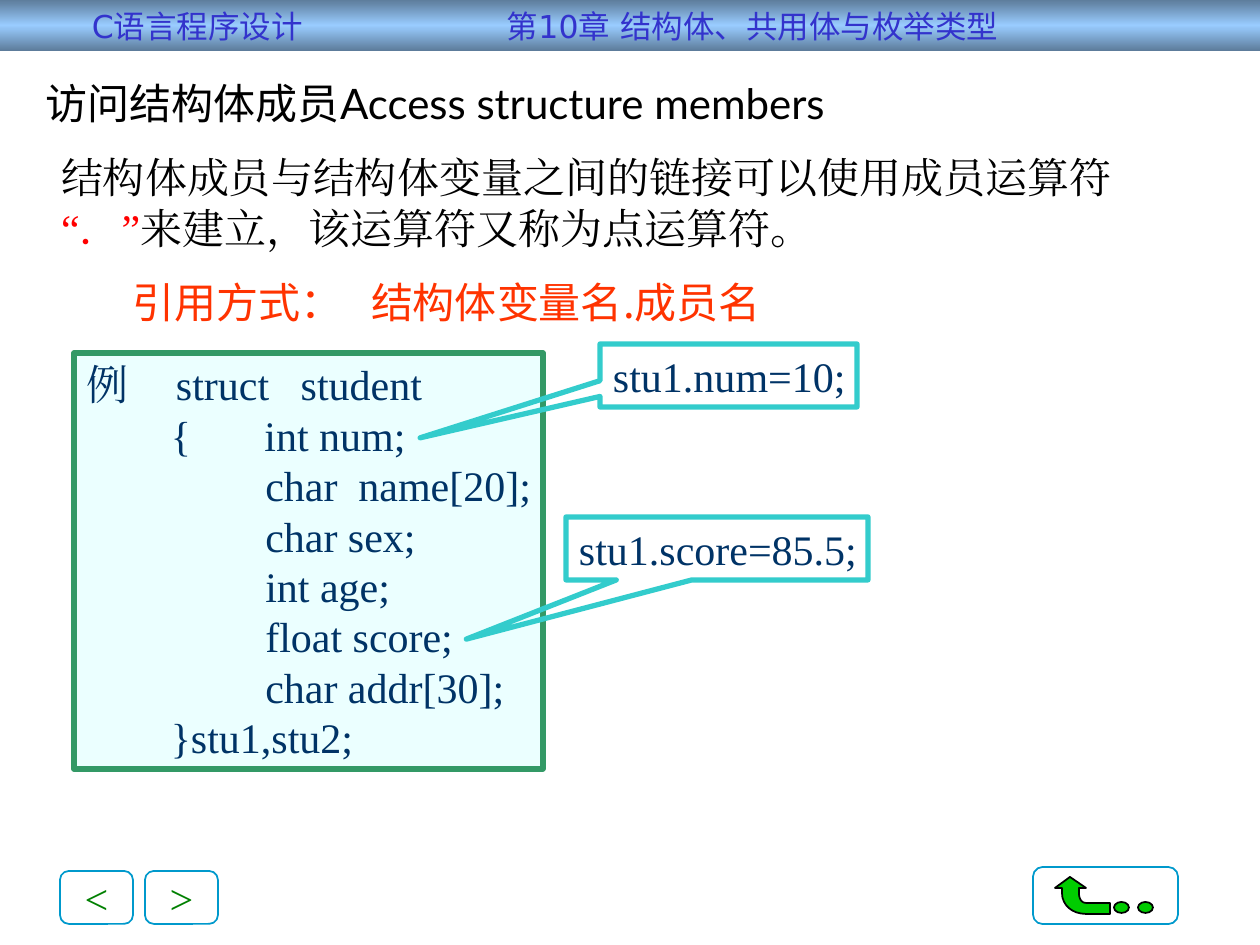
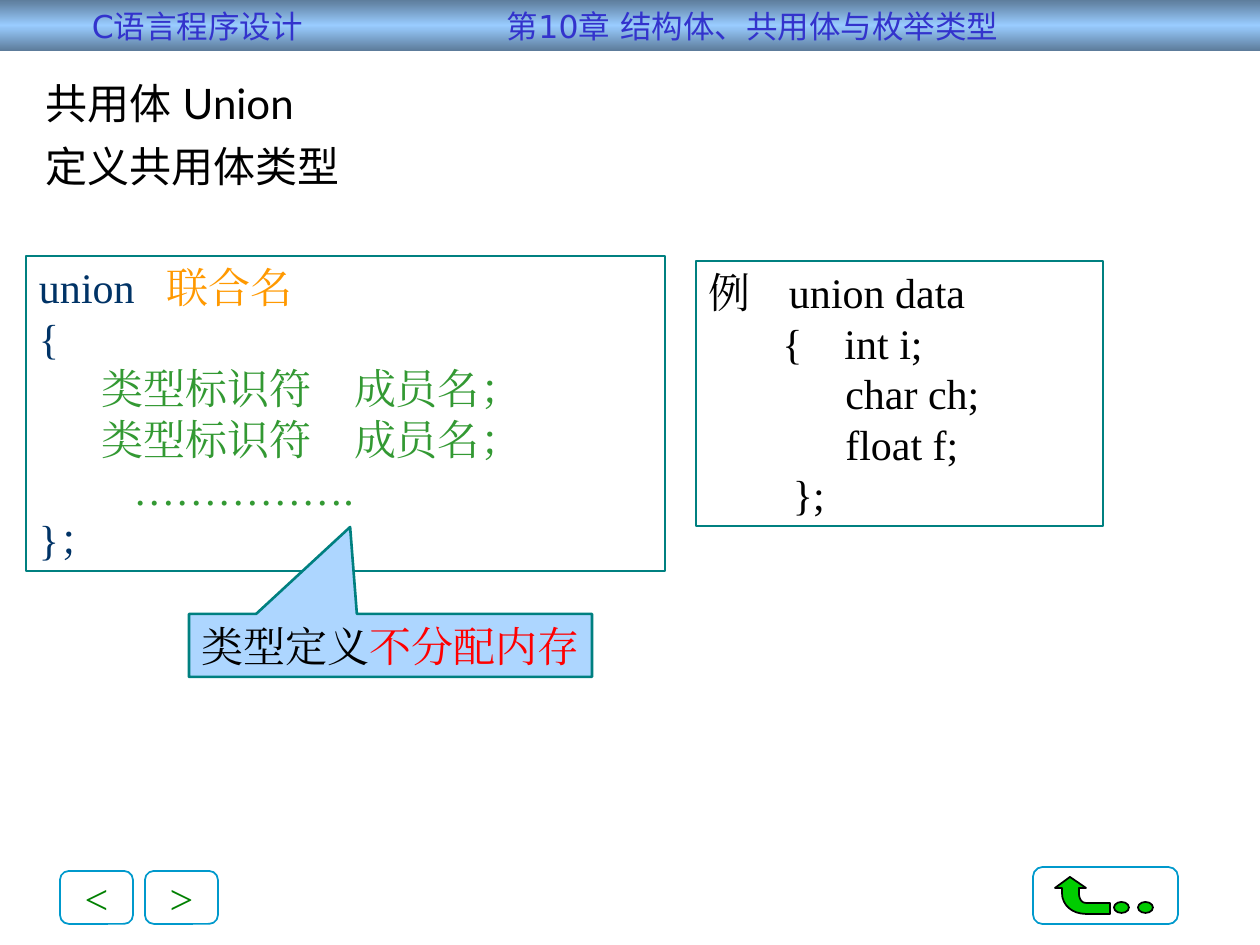
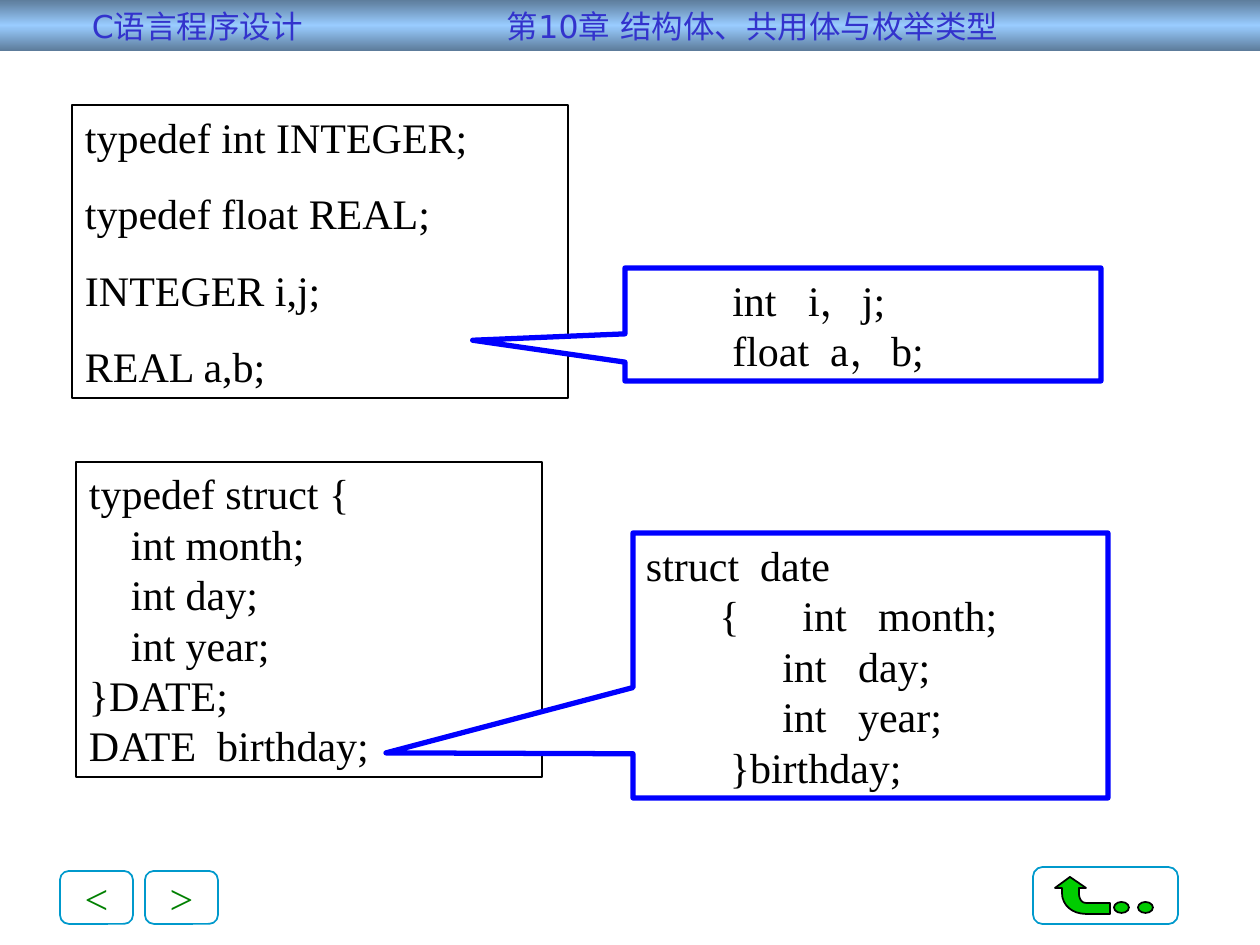
import copy

from pptx import Presentation
from pptx import util as u
from pptx.dml import color
from pptx.enum import shapes, text
from pptx.oxml import ns, xmlchemy

SCALE = 914400 / 126
KIND = shapes.MSO_SHAPE
SERIF, TITLE_FONT, CJK = "Times New Roman", "Lato", "Noto Sans CJK SC"
BLACK, WHITE, NAVY, RED = "000000", "FFFFFF", "003366", "FF0000"
TEAL, CYAN, BLUE, GREEN = "008080", "33CCCC", "0000FF", "339933"
BAND_EDGE, BAND_MIDDLE, BAND_TEXT = "5D7C9B", "99CCFF", "3333CC"
NAV_LINE, NAV_TEXT, ARROW = "0099CC", "008000", "00CC00"


def px(length):
    return u.Emu(round(length * SCALE))


def rgb(value):
    return color.RGBColor.from_string(value)


def child(parent, tag, **attributes):
    element = xmlchemy.OxmlElement(tag)
    for name, value in attributes.items():
        element.set(name, str(value))
    parent.append(element)
    return element


def write(shape, paragraphs, font=SERIF, size=24, ink=BLACK, line_height=28.8,
          gap=0, tab=None, align=text.PP_ALIGN.LEFT, anchor=text.MSO_ANCHOR.TOP,
          inset=(13, 6, 0, 6)):
    frame = shape.text_frame
    frame.word_wrap = True
    frame.vertical_anchor = anchor
    (frame.margin_left, frame.margin_top,
     frame.margin_right, frame.margin_bottom) = map(px, inset)
    for index, runs in enumerate(paragraphs):
        paragraph = frame.add_paragraph() if index else frame.paragraphs[0]
        if tab:
            tabs = child(paragraph._p.get_or_add_pPr(), "a:tabLst")
            child(tabs, "a:tab", pos=px(tab), algn="l")
        paragraph.alignment = align
        paragraph.line_spacing = u.Pt(line_height)
        if index and gap:
            paragraph.space_before = u.Pt(gap)
        for words, run_ink in [(runs, ink)] if isinstance(runs, str) else runs:
            run = paragraph.add_run()
            run.text = words
            run.font.name = font
            run.font.size = u.Pt(size)
            run.font.color.rgb = rgb(run_ink)
            child(run._r.get_or_add_rPr(), "a:ea", typeface=font)


def curve(start, first, second, end, steps=8):
    points = []
    for step in range(1, steps + 1):
        t = step / steps
        weights = ((1 - t) ** 3, 3 * t * (1 - t) ** 2, 3 * t * t * (1 - t), t ** 3)
        points.append(tuple(
            sum(weight * point[axis]
                for weight, point in zip(weights, (start, first, second, end)))
            for axis in (0, 1)))
    return points


class Deck:
    def __init__(self):
        self.presentation = Presentation()
        self.presentation.slide_width = px(1260)
        self.presentation.slide_height = px(945)
        self.slide = None

    def new_slide(self):
        self.slide = self.presentation.slides.add_slide(
            self.presentation.slide_layouts[6])
        self.header()
        self.navigation()

    def style(self, shape, fill=None, line=None, weight=1):
        shape.shadow.inherit = False
        if fill:
            shape.fill.solid()
            shape.fill.fore_color.rgb = rgb(fill)
        else:
            shape.fill.background()
        if line:
            shape.line.color.rgb = rgb(line)
            shape.line.width = u.Pt(weight)
        else:
            shape.line.fill.background()
        return shape

    def shape(self, box, kind=KIND.RECTANGLE, adjust=(), **look):
        shape = self.slide.shapes.add_shape(kind, *map(px, box))
        for index, value in enumerate(adjust):
            shape.adjustments[index] = value
        return self.style(shape, **look)

    def header(self):
        band = self.shape((0, 0, 1260, 51))
        band.fill.gradient()
        band.fill.gradient_angle = 90
        stop_list = band._element.spPr.find(".//" + ns.qn("a:gsLst"))
        stop_list.append(copy.deepcopy(stop_list[-1]))
        looks = ((0, BAND_EDGE), (0.5, BAND_MIDDLE), (1, BAND_EDGE))
        for stop, (position, ink) in zip(band.fill.gradient_stops, looks):
            stop.position = position
            stop.color.rgb = rgb(ink)
        write(band, ["C语言程序设计\t第10章 结构体、共用体与枚举类型"],
              font="DejaVu Sans", size=18, ink=BAND_TEXT, line_height=21.6,
              tab=415, anchor=text.MSO_ANCHOR.MIDDLE, inset=(92, 6, 13, 6))

    def navigation(self):
        for left, symbol in ((145, ">"), (60, "<")):
            button = self.shape((left, 871, 73, 53), KIND.ROUNDED_RECTANGLE,
                                line=NAV_LINE)
            write(button, [symbol], ink=NAV_TEXT, align=text.PP_ALIGN.CENTER,
                  anchor=text.MSO_ANCHOR.MIDDLE, inset=(13, 6, 13, 6))
        outer = curve((1062, 893), (1062, 905), (1072, 914), (1086, 914))
        inner = curve((1086, 903), (1081, 903), (1079, 898), (1079, 893))
        points = [(1055, 888), (1062, 888), (1062, 893), *outer, (1110, 914),
                  (1110, 903), (1086, 903), *inner, (1079, 888), (1086, 888)]
        builder = self.slide.shapes.build_freeform(px(1070), px(877))
        builder.add_line_segments([(px(x), px(y)) for x, y in points])
        self.style(builder.convert_to_shape(), fill=ARROW, line=BLACK)
        for left in (1114, 1138):
            self.shape((left, 902, 15, 11), KIND.OVAL, fill=ARROW, line=BLACK)
        self.shape((1033, 867, 145, 57), KIND.ROUNDED_RECTANGLE, line=NAV_LINE)

    def text(self, box, paragraphs, **format):
        write(self.slide.shapes.add_textbox(*map(px, box)), paragraphs, **format)

    def title(self, top, words):
        self.text((33, top, 1202, 70), [words], font=TITLE_FONT)

    def code(self, box, lines, fill=None, line=BLACK, weight=0.75, **format):
        write(self.shape(box, fill=fill, line=line, weight=weight), lines, **format)

    def callout(self, box, tip, lines, fill=None, line=BLUE, weight=3, **format):
        shape = self.shape(box, KIND.RECTANGULAR_CALLOUT, tip,
                           fill=fill, line=line, weight=weight)
        write(shape, lines, anchor=text.MSO_ANCHOR.MIDDLE, **format)


def access_members(deck):
    deck.new_slide()
    deck.title(71, "访问结构体成员Access structure members")
    deck.text((48, 146, 1166, 113), [
        "结构体成员与结构体变量之间的链接可以使用成员运算符",
        [("“．”", RED), ("来建立，该运算符又称为点运算符。", BLACK)]])
    deck.text((120, 270, 1017, 58), ["引用方式：\t结构体变量名.成员名"],
              font=CJK, ink="FF3300", tab=238)
    deck.code((74, 353, 469, 416), [
        "例\tstruct   student",
        "        {       int num;",
        "                 char  name[20];",
        "                 char sex;",
        "                 int age;",
        "                 float score;",
        "                 char addr[30];",
        "        }stu1,stu2;"],
        fill="EBFFFF", line="339966", weight=3, ink=NAVY, tab=89)
    deck.callout((600, 344, 257, 63), (-1.2, 0.99), ["stu1.num=10;"],
                 line=CYAN, ink=NAVY)
    deck.callout((566, 517, 302, 63), (-0.83, 1.44), ["stu1.score=85.5;"],
                 line=CYAN, ink=NAVY)


def define_union(deck):
    deck.new_slide()
    deck.title(71, "共用体 Union")
    member = [("      类型标识符    成员名；", GREEN)]
    deck.code((26, 256, 639, 315), [
        [("union   ", NAVY), ("联合名", "FF9900")],
        "{",
        member,
        member,
        [("         …………….", GREEN)],
        "}；"],
        line=TEAL, ink=NAVY)
    deck.code((696, 261, 407, 265), [
        "例\tunion data",
        "       {    int i;",
        "             char ch;",
        "             float f;",
        "        };"],
        line=TEAL, tab=80)
    deck.callout((189, 614, 403, 63), (-0.1, -1.88),
                 [[("类型定义", BLACK), ("不分配内存", RED)]],
                 fill="ADD6FF", line=TEAL, weight=1.5)
    deck.title(135, "定义共用体类型")


def define_types(deck):
    deck.new_slide()
    deck.code((72, 105, 496, 293), [
        "typedef int INTEGER;",
        "typedef float REAL;",
        "INTEGER i,j;",
        "REAL a,b;"],
        gap=15)
    deck.code((76, 462, 466, 315), [
        "typedef struct {",
        "    int month;",
        "    int day;",
        "    int year;",
        "}DATE;",
        "DATE  birthday;"])
    deck.callout((625, 268, 476, 113), (-0.82, 0.14), [
        "         int   i，j;",
        "         float  a，b;"],
        fill=WHITE)
    deck.callout((633, 533, 475, 265), (-1.02, 0.33), [
        "struct  date",
        "       {      int   month;",
        "             int   day;",
        "             int   year;",
        "        }birthday;"],
        fill=WHITE)


def main():
    deck = Deck()
    access_members(deck)
    define_union(deck)
    define_types(deck)
    deck.presentation.save("out.pptx")


if __name__ == "__main__":
    main()
